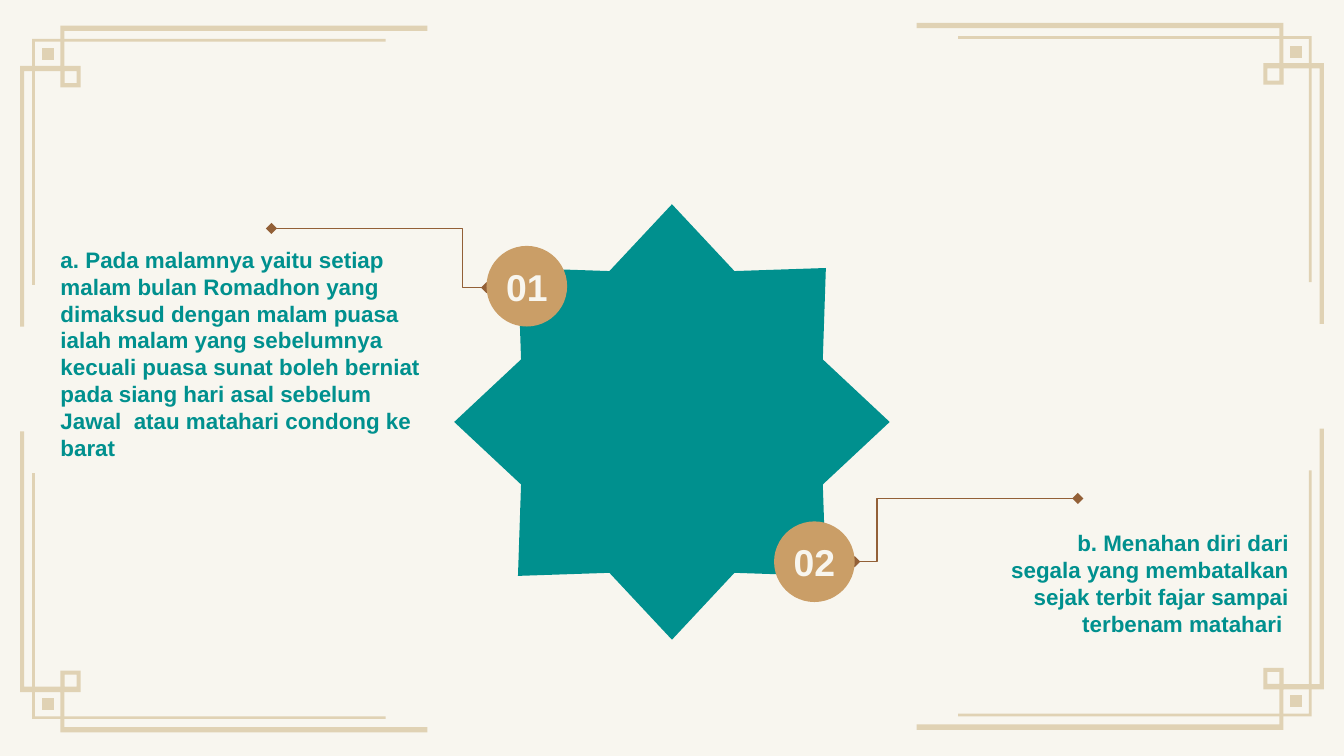
from dataclasses import dataclass

from lxml import etree
from pptx import Presentation
from pptx.dml.color import RGBColor
from pptx.enum.shapes import MSO_CONNECTOR, MSO_SHAPE
from pptx.enum.text import MSO_ANCHOR, MSO_AUTO_SIZE, PP_ALIGN
from pptx.oxml.ns import qn
from pptx.util import Inches, Pt

ELBOW = MSO_CONNECTOR.ELBOW
STAR, CIRCLE = MSO_SHAPE.STAR_8_POINT, MSO_SHAPE.OVAL
TOP, MIDDLE = MSO_ANCHOR.TOP, MSO_ANCHOR.MIDDLE
LEFT, CENTER, RIGHT = PP_ALIGN.LEFT, PP_ALIGN.CENTER, PP_ALIGN.RIGHT
NO_FIT = MSO_AUTO_SIZE.NONE


@dataclass(frozen=True)
class Theme:
    """Colours, font and type sizes of the deck."""
    paper: RGBColor = RGBColor.from_string("F8F6EF")
    sand: RGBColor = RGBColor.from_string("E0D2B4")
    teal: RGBColor = RGBColor.from_string("00908E")
    gold: RGBColor = RGBColor.from_string("CA9E67")
    brown: RGBColor = RGBColor.from_string("936037")
    font: str = "Arial"
    text_size: Pt = Pt(12)
    number_size: Pt = Pt(20)
    line_width: Pt = Pt(0.75)


THEME = Theme()


def rectangle(left, top, right, bottom):
    """Return the four corners of a rectangle."""
    return [(left, top), (left, bottom), (right, bottom), (right, top)]


CORNER_PARTS = [
    [[(0.09, 0.1), (0.09, 1.93), (0.11, 1.93), (0.11, 0.12), (2.72, 0.12), (2.72, 0.1)]],
    [[(0.3, 0), (0.3, 0.3), (0, 0.3), (0, 2.24), (0.03, 2.24), (0.03, 0.34),
      (0.33, 0.34), (0.33, 0.04), (3.03, 0.04), (3.03, 0)]],
    [rectangle(0.33, 0.34, 0.42, 0.43), rectangle(0.3, 0.3, 0.45, 0.46)],
    [rectangle(0.16, 0.17, 0.25, 0.26)],
]


def paint(shape, color):
    """Give a shape a flat fill without line or shadow."""
    shape.fill.solid()
    shape.fill.fore_color.rgb = color
    shape.line.fill.background()
    shape.shadow.inherit = False


def style_paragraph(para, size, color, align):
    """Set alignment and bold type on a paragraph."""
    para.alignment = align
    para.font.name = THEME.font
    para.font.size = size
    para.font.bold = True
    para.font.color.rgb = color


def add_corner(page, x, y, x_sign, y_sign):
    """Draw a corner ornament running inward from its outer point."""
    group = page.shapes.add_group_shape()
    for contours in CORNER_PARTS:
        placed = [[(Inches(x + x_sign * dx), Inches(y + y_sign * dy)) for dx, dy in contour]
                  for contour in contours]
        builder = group.shapes.build_freeform(*placed[0][0])
        builder.add_line_segments(placed[0][1:])
        for contour in placed[1:]:
            builder.move_to(*contour[0])
            builder.add_line_segments(contour[1:])
        paint(builder.convert_to_shape(), THEME.sand)


def place_text(holder, box, text, align):
    """Move a placeholder to its box and fill it with bold teal text."""
    holder.left, holder.top, holder.width, holder.height = map(Inches, box)
    frame = holder.text_frame
    frame.word_wrap = True
    frame.auto_size = NO_FIT
    frame.vertical_anchor = TOP
    frame.margin_left = frame.margin_right = Inches(0.1)
    frame.margin_top = frame.margin_bottom = Inches(0.1)
    frame.text = text
    para = frame.paragraphs[0]
    para.line_spacing = 1.0
    para.space_before = Pt(0)
    properties = para._p.get_or_add_pPr()
    properties.set("marL", "0")
    properties.set("indent", "0")
    etree.SubElement(properties, qn("a:buNone"))
    style_paragraph(para, THEME.text_size, THEME.teal, align)


def add_leader(page, start, end, bend):
    """Draw an elbow line with diamond ends, bending at a share of its width."""
    leader = page.shapes.add_connector(ELBOW, *map(Inches, start + end))
    leader.line.color.rgb = THEME.brown
    leader.line.width = THEME.line_width
    properties = leader._element.spPr
    line = properties.find(qn("a:ln"))
    for tag in ("a:headEnd", "a:tailEnd"):
        etree.SubElement(line, qn(tag), type="diamond")
    guides = properties.find(qn("a:prstGeom")).find(qn("a:avLst"))
    etree.SubElement(guides, qn("a:gd"), name="adj1", fmla=f"val {round(bend * 100000)}")
    etree.SubElement(properties, qn("a:effectLst"))


def add_star(page, left, top, size):
    """Draw the central eight-pointed star."""
    star = page.shapes.add_shape(STAR, *map(Inches, (left, top, size, size)))
    star.adjustments[0] = 0.375
    paint(star, THEME.teal)


def add_badge(page, left, top, number):
    """Draw a numbered circle."""
    badge = page.shapes.add_shape(CIRCLE, *map(Inches, (left, top, 0.6, 0.6)))
    paint(badge, THEME.gold)
    frame = badge.text_frame
    frame.margin_left = frame.margin_right = frame.margin_top = frame.margin_bottom = 0
    frame.vertical_anchor = MIDDLE
    frame.text = number
    style_paragraph(frame.paragraphs[0], THEME.number_size, THEME.paper, CENTER)


def build_page(deck):
    """Compose the star slide with its two explained points."""
    page = deck.slides.add_slide(deck.slide_layouts[1])
    page.background.fill.solid()
    page.background.fill.fore_color.rgb = THEME.paper
    for x, x_sign, top, bottom in ((9.85, -1, 0.17, 5.43), (0.15, 1, 0.19, 5.45)):
        add_corner(page, x, top, x_sign, 1)
        add_corner(page, x, bottom, x_sign, -1)
    place_text(page.shapes.title, (0.35, 1.74, 2.94, 0.18),
               "a. Pada malamnya yaitu setiap malam bulan Romadhon yang dimaksud dengan "
               "malam puasa ialah malam yang sebelumnya kecuali puasa sunat boleh berniat "
               "pada siang hari asal sebelum Jawal  atau matahari condong ke barat", LEFT)
    place_text(page.placeholders[1], (7.36, 3.84, 2.33, 0.61),
               "b. Menahan diri dari segala yang membatalkan sejak terbit fajar sampai "
               "terbenam matahari ", RIGHT)
    add_leader(page, (6.36, 4.18), (8.02, 3.71), 0.1)
    add_leader(page, (2.02, 1.7), (3.62, 2.14), 0.89)
    add_star(page, 3.38, 1.52, 3.24)
    add_badge(page, 5.76, 3.88, "02")
    add_badge(page, 3.62, 1.83, "01")


def main():
    """Build and save the deck."""
    deck = Presentation()
    deck.slide_width = Inches(10)
    deck.slide_height = deck.slide_width * 9 // 16
    build_page(deck)
    deck.save("out.pptx")


if __name__ == "__main__":
    main()
